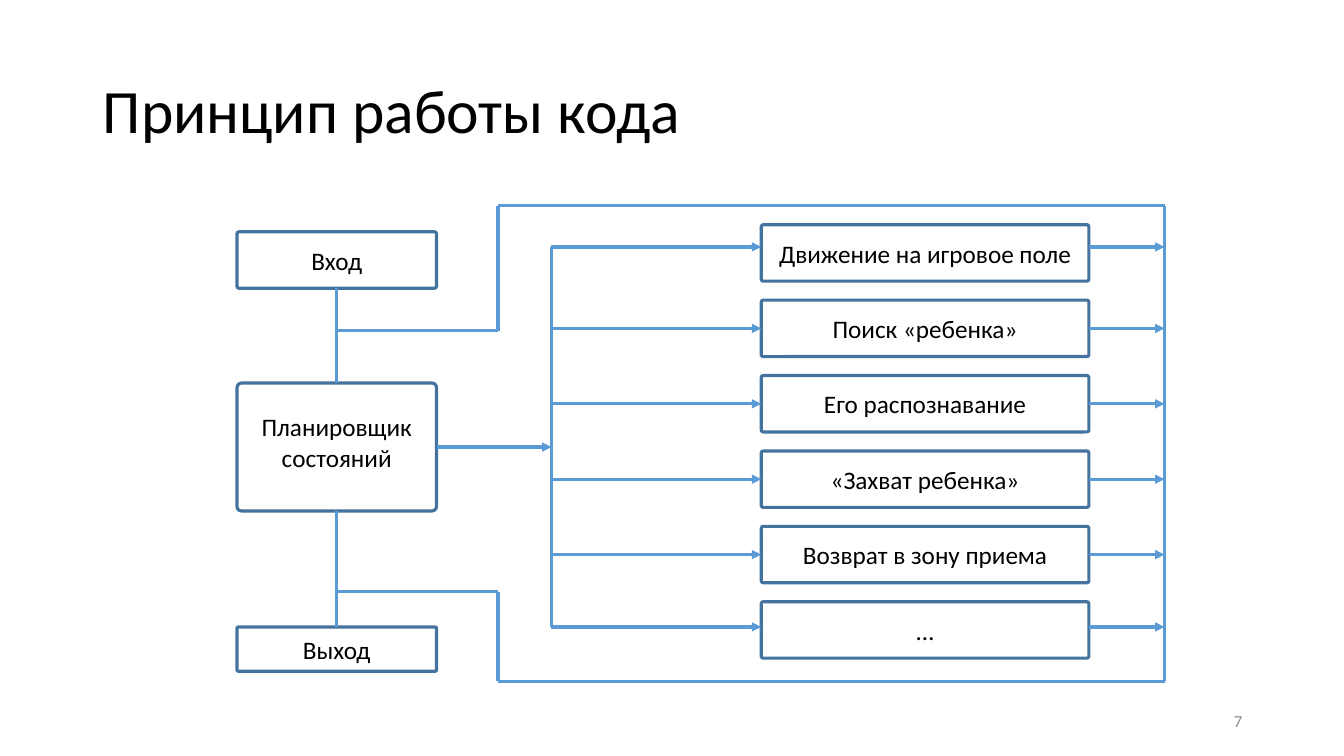
from itertools import pairwise

from lxml import etree
from pptx import Presentation
from pptx.dml.color import RGBColor
from pptx.enum.shapes import MSO_CONNECTOR, MSO_SHAPE
from pptx.enum.text import MSO_ANCHOR, PP_ALIGN
from pptx.oxml.ns import qn
from pptx.util import Inches, Pt

ROUNDED, STRAIGHT = MSO_SHAPE.ROUNDED_RECTANGLE, MSO_CONNECTOR.STRAIGHT
MIDDLE = MSO_ANCHOR.MIDDLE
LEFT, CENTER, RIGHT = PP_ALIGN.LEFT, PP_ALIGN.CENTER, PP_ALIGN.RIGHT
TOP_SIDE, LEFT_SIDE, BOTTOM_SIDE, RIGHT_SIDE = range(4)
TITLE_ONLY = 5

FONT = "Calibri"
BLACK, GREY = "000000", "8C8C8C"
BOX_BLUE, LINE_BLUE = "43739E", "5B9BD5"
LINE_WIDTH = 2.25

# Diagram geometry in inches
STAGE_LEFT, STAGE_WIDTH = 2.35, 1.98
STAGE_AXIS = STAGE_LEFT + STAGE_WIDTH / 2
STATE_LEFT, STATE_WIDTH, STATE_HEIGHT = 7.55, 3.25, 0.56
FIRST_STATE_TOP, LAST_STATE_TOP = 2.23, 5.97
RAIL_X, RAIL_TOP, RAIL_BOTTOM = 5.47, 2.45, 6.22
LOOP_LEFT, LOOP_RIGHT, LOOP_TOP, LOOP_BOTTOM = 4.94, 11.55, 2.04, 6.76
ENTRY_JOINT, EXIT_JOINT = 3.28, 5.87

STATES = [
    "Движение на игровое поле",
    "Поиск «ребенка»",
    "Его распознавание",
    "«Захват ребенка»",
    "Возврат в зону приема",
    "…",
]


def color(hex_code):
    return RGBColor.from_string(hex_code)


def write(frame, text, size=18, hex_code=BLACK, align=CENTER, spacing=1.0):
    frame.word_wrap = True
    frame.vertical_anchor = MIDDLE
    para = frame.paragraphs[0]
    para.alignment = align
    para.line_spacing = spacing
    span = para.add_run()
    span.text = text
    span.font.name = FONT
    span.font.size = Pt(size)
    span.font.color.rgb = color(hex_code)


def add_box(page, text, left, top, width, height):
    box = page.shapes.add_shape(
        ROUNDED, Inches(left), Inches(top), Inches(width), Inches(height))
    box.adjustments[0] = 0.036
    box.shadow.inherit = False
    box.fill.background()
    box.line.color.rgb = color(BOX_BLUE)
    box.line.width = Pt(LINE_WIDTH)
    write(box.text_frame, text)
    return box


def add_line(page, start, end, arrow=False, begin=None, finish=None):
    """Draw a line; begin and finish are optional (box, side) joints."""
    line = page.shapes.add_connector(STRAIGHT, *map(Inches, (*start, *end)))
    line.line.color.rgb = color(LINE_BLUE)
    line.line.width = Pt(LINE_WIDTH)
    if arrow:
        etree.SubElement(line.line._get_or_add_ln(), qn("a:tailEnd"), type="triangle")
    etree.SubElement(line._element.spPr, qn("a:effectLst"))
    if begin:
        line.begin_connect(*begin)
    if finish:
        line.end_connect(*finish)


def add_stages(page):
    entry = add_box(page, "Вход", STAGE_LEFT, 2.3, STAGE_WIDTH, 0.56)
    planner = add_box(page, "Планировщик состояний", STAGE_LEFT, 3.8, STAGE_WIDTH, 1.27)
    planner.text_frame.margin_bottom = Inches(0.15)
    leaving = add_box(page, "Выход", STAGE_LEFT, 6.22, STAGE_WIDTH, 0.44)

    add_line(page, (STAGE_AXIS, 2.86), (STAGE_AXIS, 3.8),
             begin=(entry, BOTTOM_SIDE), finish=(planner, TOP_SIDE))
    add_line(page, (STAGE_AXIS, 5.07), (STAGE_AXIS, 6.22),
             begin=(planner, BOTTOM_SIDE), finish=(leaving, TOP_SIDE))
    planner_middle = 3.8 + 1.27 / 2
    add_line(page, (STAGE_LEFT + STAGE_WIDTH, planner_middle), (RAIL_X, planner_middle),
             arrow=True, begin=(planner, RIGHT_SIDE))


def add_states(page):
    add_line(page, (RAIL_X, RAIL_TOP), (RAIL_X, RAIL_BOTTOM))
    last = len(STATES) - 1
    pitch = (LAST_STATE_TOP - FIRST_STATE_TOP) / last
    rail_ends = {0: RAIL_TOP, last: RAIL_BOTTOM}
    state_right = STATE_LEFT + STATE_WIDTH
    for row, text in enumerate(STATES):
        top = FIRST_STATE_TOP + row * pitch
        box = add_box(page, text, STATE_LEFT, top, STATE_WIDTH, STATE_HEIGHT)
        # Outer arrows follow the rail ends, inner ones the box middles
        joined = row not in rail_ends
        y = rail_ends.get(row, top + STATE_HEIGHT / 2)
        add_line(page, (RAIL_X, y), (STATE_LEFT, y), arrow=True,
                 finish=(box, LEFT_SIDE) if joined else None)
        add_line(page, (state_right, y), (LOOP_RIGHT, y), arrow=True,
                 begin=(box, RIGHT_SIDE) if joined else None)


def add_return_loop(page):
    corners = [
        (STAGE_AXIS, ENTRY_JOINT), (LOOP_LEFT, ENTRY_JOINT),
        (LOOP_LEFT, LOOP_TOP), (LOOP_RIGHT, LOOP_TOP),
        (LOOP_RIGHT, LOOP_BOTTOM), (LOOP_LEFT, LOOP_BOTTOM),
        (LOOP_LEFT, EXIT_JOINT), (STAGE_AXIS, EXIT_JOINT),
    ]
    for start, end in pairwise(corners):
        add_line(page, start, end)


def main():
    deck = Presentation()
    deck.slide_width, deck.slide_height = Inches(13.33), Inches(7.5)
    page = deck.slides.add_slide(deck.slide_layouts[TITLE_ONLY])

    # Title and page number
    title = page.shapes.title
    title.left, title.top = Inches(0.92), Inches(0.4)
    title.width, title.height = Inches(11.5), Inches(1.45)
    write(title.text_frame, "Принцип работы кода", size=44, align=LEFT, spacing=0.9)
    number = page.shapes.add_textbox(Inches(9.42), Inches(6.95), Inches(3), Inches(0.4))
    write(number.text_frame, "7", size=12, hex_code=GREY, align=RIGHT)

    # Diagram
    add_stages(page)
    add_states(page)
    add_return_loop(page)
    deck.save("out.pptx")


if __name__ == "__main__":
    main()
